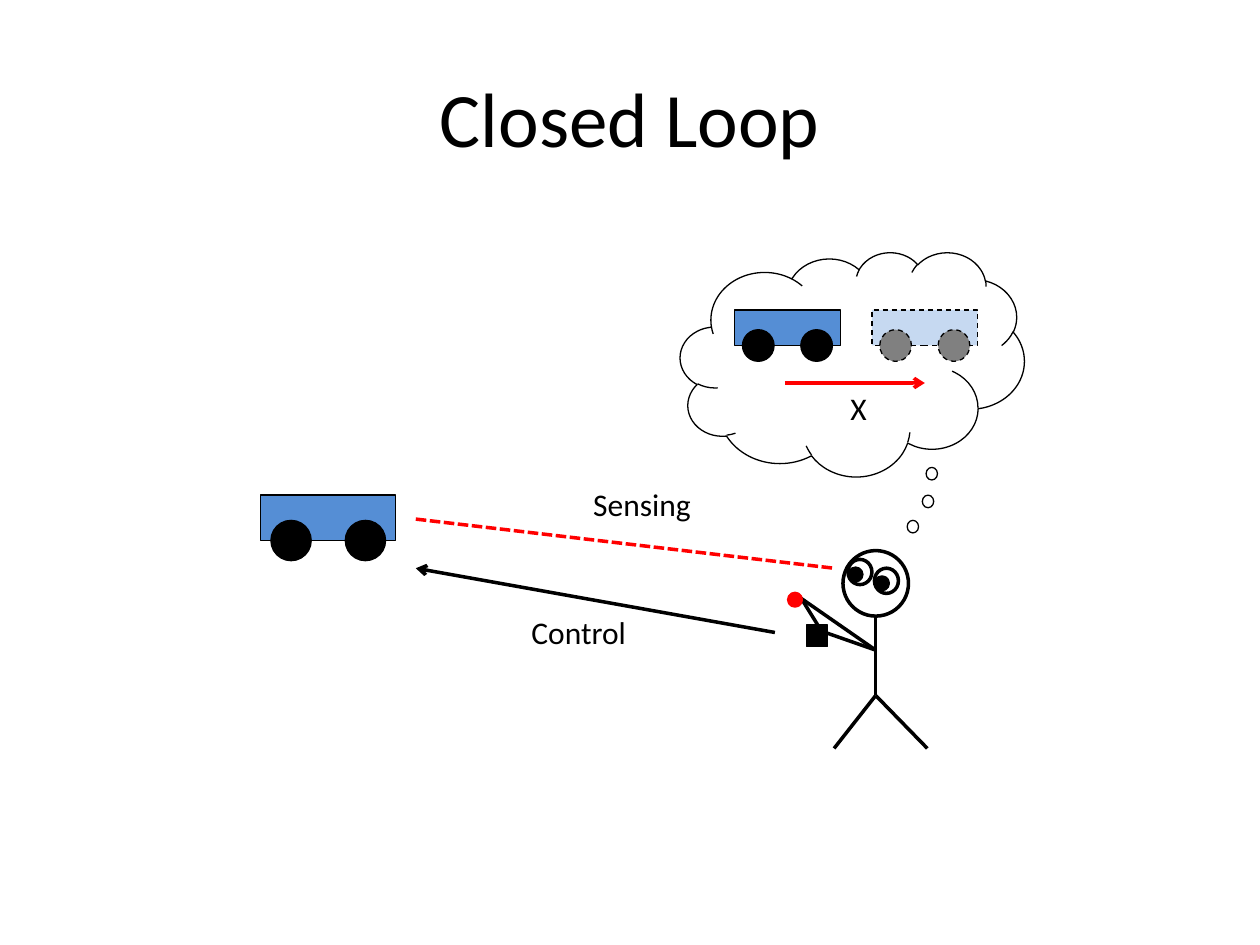
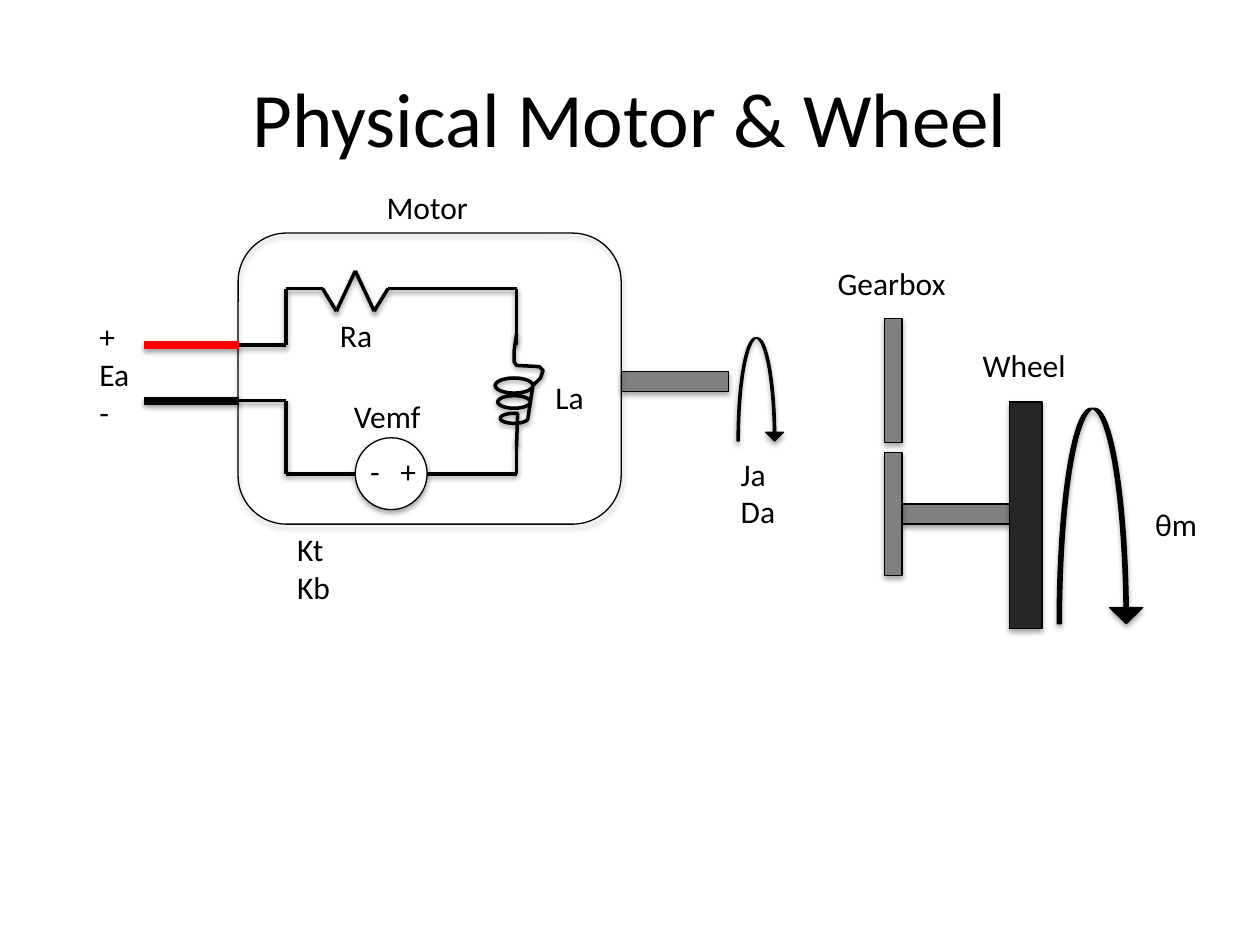
"""Builds two slides: a closed control loop and a motor driving a wheel."""
from itertools import pairwise
from math import cos, radians, sin

from lxml.etree import SubElement as Sub
from pptx import Presentation
from pptx.dml.color import RGBColor
from pptx.enum.dml import MSO_LINE as Dash
from pptx.enum.shapes import MSO_CONNECTOR as Link, MSO_SHAPE as Kind
from pptx.enum.text import MSO_ANCHOR as Anchor, MSO_AUTO_SIZE as Auto, PP_ALIGN as Align
from pptx.oxml.ns import qn
from pptx.util import Inches, Pt

FONT = "Calibri"
BLACK, WHITE, RED, GRAY, COAL = "000000", "FFFFFF", "FF0000", "808080", "262626"
BLUE, PALE = "558ED5", "C6D9F1"
THIN, BOLD, THICK = 0.75, 2, 4.5
SOFT, LOW = {"alpha": 35, "drop": 1.8}, {"alpha": 38, "drop": 1.6}
BOX, OVAL = Kind.RECTANGLE, Kind.OVAL

LOOP = {
    "title": "Closed Loop",
    "labels": [
        (4.61, 3.8, 0.98, ["Sensing"]),
        (4.12, 4.82, 0.97, ["Control"]),
        (6.65, 3.04, 0.33, ["X"]),
    ],
    "cloud": (5.4, 2, 2.73, 1.78),
    "puffs": [(7.2, 4.13), (7.32, 3.93), (7.35, 3.71)],
}
CAR, GHOST = (BLUE, BLACK, None), (PALE, GRAY, Dash.DASH)
CARS = [(2.07, 3.93, 1.07, CAR), (6.92, 2.46, 0.84, GHOST), (5.83, 2.46, 0.84, CAR)]

NECK, ELBOW, HIP = (6.95, 4.9), (6.95, 5.16), (6.95, 5.52)
FEET = [(7.36, 5.94), (6.62, 5.94)]
KNOB, STICK, PAD = (6.36, 4.75), (6.49, 4.96), (6.55, 5.02)
EYES = [(6.73, 4.44), (6.94, 4.51)]

MOTOR = {
    "title": "Physical Motor & Wheel",
    "labels": [
        (0.69, 2.47, 0.45, ["+", "Ea", "-"]),
        (6.55, 2.05, 1.07, ["Gearbox"]),
        (7.7, 2.7, 0.87, ["Wheel"]),
        (9.07, 3.96, 0.54, ["θm"]),
        (2.6, 2.46, 0.46, ["Ra"]),
        (4.31, 2.95, 0.43, ["La"]),
        (2.97, 1.44, 0.86, ["Motor"]),
    ],
    "notes": [
        (5.78, 3.56, 0.61, ["Ja", "Da"]),
        (2.26, 4.16, 2.31, ["Kt", "Kb"]),
        (2.71, 3.1, 0.82, ["Vemf"]),
    ],
    "poles": (2.84, 3.54, 0.66, ["-\t+"]),
    "case": (1.89, 1.85, 3.04, 2.31),
    "shafts": [(4.93, 2.95), (7.16, 4)],
    "gears": [(7.02, 2.53), (7.02, 3.59)],
    "wheel": (8.01, 3.19, 0.26, 1.8),
    "spins": [(8.39, 3.24, 0.68, 1.71), (5.85, 2.68, 0.37, 0.82)],
}
SHAFT, GEAR = (0.85, 0.16), (0.14, 0.98)

PLUG, PORT, BEND, SIDE = 1.14, 1.9, 2.27, 4.1
ROOF, HOT, COLD, FLOOR = 2.29, 2.74, 3.18, 3.76
OHM = {"mid": 2.82, "half": 0.26, "step": 0.15, "peak": 2.15, "dip": 2.47}
COIL = {"top": 2.65, "end": 3.54, "mid": 4.08, "first": 3.06, "pitch": 0.13, "turns": 3}
SOURCE = {"left": 2.82, "size": 0.57}


def paint(font, hue):
    font.color.rgb = RGBColor.from_string(hue)


def cast(glow, alpha, drop):
    shade = Sub(glow, qn("a:outerShdw"), blurRad=str(Pt(3.1)), dist=str(Pt(drop)),
                dir="5400000", rotWithShape="0")
    tint = Sub(shade, qn("a:srgbClr"), val=BLACK)
    Sub(tint, qn("a:alpha"), val=str(alpha * 1000))


def style(item, hue, width, dash=None, tip=False, shade=None):
    paint_line = item.line
    paint(paint_line, hue)
    paint_line.width = Pt(width)
    if dash:
        paint_line.dash_style = dash
    props = item._element.spPr
    if tip:
        Sub(props.find(qn("a:ln")), qn("a:tailEnd"), type="arrow")
    glow = Sub(props, qn("a:effectLst"))
    if shade:
        cast(glow, **shade)


def fill(item, hue):
    if hue:
        item.fill.solid()
        item.fill.fore_color.rgb = RGBColor.from_string(hue)
    else:
        item.fill.background()


def shape(slide, kind, spot, hue=None, edge=BLACK, width=THIN, **look):
    item = slide.shapes.add_shape(kind, *map(Inches, spot))
    fill(item, hue)
    style(item, edge, width, **look)
    return item


def chain(slide, points, hue=BLACK, width=BOLD, **look):
    for start, end in pairwise(points):
        item = slide.shapes.add_connector(Link.STRAIGHT, *map(Inches, start + end))
        style(item, hue, width, **look)


def text(slide, spot, lines, wrap, size):
    frame = slide.shapes.add_textbox(*map(Inches, spot)).text_frame
    frame.word_wrap = wrap
    for i, words in enumerate(lines):
        para = frame.add_paragraph() if i else frame.paragraphs[0]
        run = para.add_run()
        run.text = words
        run.font.name, run.font.size = FONT, Pt(size)
        paint(run.font, BLACK)
    return frame


def label(slide, x, y, w, lines, wrap=False):
    h = 0.1 + 0.3 * len(lines)
    frame = text(slide, (x, y, w, h), lines, wrap, 18)
    frame.auto_size = Auto.SHAPE_TO_FIT_TEXT
    return frame


def start(deck, title):
    slide = deck.slides.add_slide(deck.slide_layouts[6])
    frame = text(slide, (0.5, 0.3, 9, 1.25), [title], True, 44)
    frame.vertical_anchor = Anchor.MIDDLE
    frame.paragraphs[0].alignment = Align.CENTER
    return slide


def car(slide, x, y, w, look):
    body, tire, dash = look
    unit = w / 1.07
    size = 0.32 * unit
    shape(slide, BOX, (x, y, w, 0.36 * unit), body, dash=dash)
    for dx in (0.08, 0.67):
        shape(slide, OVAL, (x + dx * unit, y + 0.2 * unit, size, size), tire, dash=dash)


def person(slide):
    chain(slide, [NECK, HIP])
    for foot in FEET:
        chain(slide, [HIP, foot])
    for hand in (KNOB, PAD):
        chain(slide, [hand, ELBOW])
    chain(slide, [KNOB, STICK])
    shape(slide, OVAL, (6.69, 4.37, 0.52, 0.52), width=BOLD)
    for x, y in EYES:
        shape(slide, OVAL, (x, y, 0.19, 0.2), width=BOLD)
        shape(slide, OVAL, (x + 0.01, y + 0.07, 0.1, 0.1), BLACK, width=BOLD)
    shape(slide, BOX, (6.4, 4.96, 0.17, 0.17), BLACK)
    shape(slide, OVAL, (6.26, 4.71, 0.1, 0.1), RED, RED, BOLD)


def zigzag(mid, half, step, peak, dip):
    return [(mid - half, ROOF), (mid - step, dip), (mid, peak),
            (mid + step, dip), (mid + half, ROOF)]


def spiral(top, end, mid, first, pitch, turns):
    points = [(SIDE, top), (mid, 2.79), (mid, 2.87), (SIDE, 2.9),
              (4.28, 2.91), (4.31, 2.94), (4.29, 3)]
    for turn in range(turns):
        wide, tall = 0.15 - 0.02 * turn, 0.06 - 0.01 * turn
        y = first + pitch * turn
        sweep = 360 if turn < turns - 1 else 285
        for angle in map(radians, range(0, sweep + 1, 15)):
            points.append((mid + wide * cos(angle), y + tall * sin(angle)))
    return points + [(SIDE, end)]


def outline(slide, points):
    pen = slide.shapes.build_freeform(*points[0], scale=Inches(1))
    units = [(Inches(x), Inches(y)) for x, y in points]
    pen = slide.shapes.build_freeform(*units[0])
    pen.add_line_segments(units[1:], close=False)
    item = pen.convert_to_shape()
    fill(item, None)
    style(item, BLACK, BOLD, shade=LOW)


def circuit(slide):
    for y, hue in [(HOT, RED), (COLD, BLACK)]:
        chain(slide, [(PORT, y), (PLUG, y)], hue, THICK, shade=LOW)
    left, size = SOURCE["left"], SOURCE["size"]
    supply = [(PORT, HOT), (BEND, HOT), (BEND, ROOF)]
    wires = [
        supply + zigzag(**OHM) + [(SIDE, ROOF), (SIDE, HOT)],
        [(PORT, COLD), (BEND, COLD), (BEND, FLOOR), (left, FLOOR)],
        [(left + size, FLOOR), (SIDE, FLOOR), (SIDE, 3.5)],
    ]
    for wire in wires:
        chain(slide, wire, shade=LOW)
    outline(slide, spiral(**COIL))
    shape(slide, OVAL, (left, FLOOR - size / 2, size, size), WHITE, shade=SOFT)


def drive(slide):
    for spots, size in [(MOTOR["shafts"], SHAFT), (MOTOR["gears"], GEAR)]:
        for spot in spots:
            shape(slide, BOX, spot + size, GRAY, shade=SOFT)
    shape(slide, BOX, MOTOR["wheel"], COAL, shade=SOFT)
    for spot in MOTOR["spins"]:
        spin = shape(slide, Kind.CURVED_DOWN_ARROW, spot, BLACK, shade=SOFT)
        for i, value in enumerate([0.05, 0.387, 0.188]):
            spin.adjustments[i] = value


def draw_loop(deck):
    slide = start(deck, LOOP["title"])
    person(slide)
    for row in CARS:
        car(slide, *row)
    chain(slide, [(6.23, 3.04), (7.34, 3.04)], RED, tip=True)
    chain(slide, [(3.3, 4.12), (6.62, 4.51)], RED, dash=Dash.SQUARE_DOT)
    chain(slide, [(6.15, 5.02), (3.3, 4.51)], tip=True)
    shape(slide, Kind.CLOUD, LOOP["cloud"])
    for x, y in LOOP["puffs"]:
        shape(slide, OVAL, (x, y, 0.09, 0.1))
    for row in LOOP["labels"]:
        label(slide, *row)


def draw_motor(deck):
    slide = start(deck, MOTOR["title"])
    drive(slide)
    shape(slide, Kind.ROUNDED_RECTANGLE, MOTOR["case"], shade=SOFT)
    circuit(slide)
    for row in MOTOR["labels"]:
        label(slide, *row)
    for row in MOTOR["notes"]:
        label(slide, *row, wrap=True)
    poles = label(slide, *MOTOR["poles"], wrap=True)
    props = poles.paragraphs[0]._p.get_or_add_pPr()
    Sub(Sub(props, qn("a:tabLst")), qn("a:tab"), pos=str(Inches(0.24)), algn="l")


def main():
    deck = Presentation()
    deck.slide_width, deck.slide_height = Inches(10), Inches(7.5)
    draw_loop(deck)
    draw_motor(deck)
    deck.save("out.pptx")


if __name__ == "__main__":
    main()
